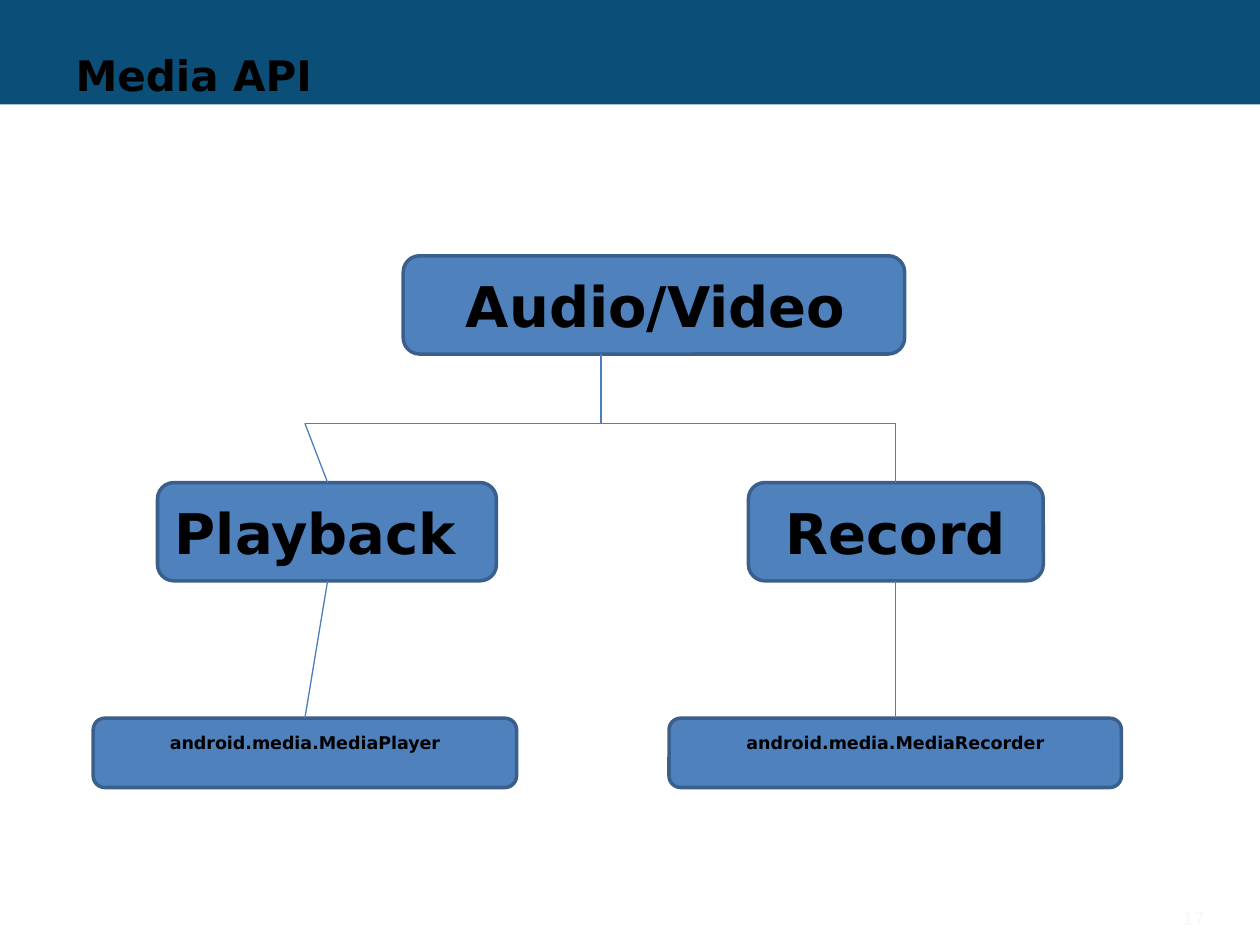
from dataclasses import dataclass

from lxml.etree import SubElement
from pptx import Presentation
from pptx.dml.color import RGBColor
from pptx.enum.shapes import MSO_CONNECTOR, MSO_SHAPE
from pptx.enum.text import MSO_ANCHOR, PP_ALIGN
from pptx.oxml.ns import qn
from pptx.slide import Slide
from pptx.text.text import TextFrame
from pptx.util import Inches, Pt


@dataclass(frozen=True)
class Theme:
    font: str = "DejaVu Sans"
    banner: RGBColor = RGBColor(0x0B, 0x4E, 0x78)
    box: RGBColor = RGBColor(0x4F, 0x81, 0xBD)
    border: RGBColor = RGBColor(0x3A, 0x5F, 0x8C)
    branch: RGBColor = RGBColor(0x4B, 0x7E, 0xBC)
    text: RGBColor = RGBColor(0, 0, 0)
    page: RGBColor = RGBColor(0xF8, 0xF8, 0xF8)
    title_size: int = 24
    topic_size: int = 32
    class_size: int = 10
    page_size: int = 10


@dataclass(frozen=True)
class Node:
    label: str
    left: float
    top: float
    width: float
    height: float
    label_width: float
    label_height: float
    label_drop: float
    size: int


@dataclass(frozen=True)
class Branch:
    x1: float
    y1: float
    x2: float
    y2: float


THEME = Theme()


def topic(label: str, left: float, top: float, width: float, label_width: float) -> Node:
    return Node(label, left, top, width, 0.78, label_width, 0.64, 0.08, THEME.topic_size)


def api_class(label: str, left: float, width: float, label_height: float) -> Node:
    return Node(label, left, 5.7, width, 0.55, width, label_height, 0.06, THEME.class_size)


NODES = [
    topic("Record", 5.94, 3.83, 2.34, 2.34),
    topic("Playback", 1.25, 3.83, 2.69, 2.51),
    topic("Audio/Video", 3.2, 2.03, 3.98, 4.01),
    api_class("android.media.MediaPlayer", 0.74, 3.36, 0.28),
    api_class("android.media.MediaRecorder", 5.31, 3.59, 0.71),
]

# Axes of the tree: trunk, the two columns, and the shared crossbar
TRUNK_X, PLAYER_X, PLAYBACK_X, RECORD_X = 4.77, 2.42, 2.6, 7.11
BAR_Y = 3.36
BRANCHES = [
    Branch(TRUNK_X, 2.81, TRUNK_X, BAR_Y),
    Branch(PLAYER_X, BAR_Y, RECORD_X, BAR_Y),
    Branch(PLAYER_X, BAR_Y, PLAYBACK_X, 3.83),
    Branch(RECORD_X, BAR_Y, RECORD_X, 3.83),
    Branch(PLAYBACK_X, 4.61, PLAYER_X, 5.7),
    Branch(RECORD_X, 4.61, RECORD_X, 5.7),
]


def write(frame: TextFrame, text: str, size: int, align: PP_ALIGN,
          color: RGBColor = THEME.text, bold: bool = True) -> None:
    frame.word_wrap = True
    paragraph = frame.paragraphs[0]
    paragraph.alignment = align
    run = paragraph.add_run()
    run.text = text
    run.font.name = THEME.font
    run.font.size = Pt(size)
    run.font.bold = bold
    run.font.color.rgb = color


def draw_banner(slide: Slide, width: int) -> None:
    banner = slide.shapes.add_shape(MSO_SHAPE.RECTANGLE, 0, 0, width, Inches(0.83))
    banner.shadow.inherit = False
    banner.fill.solid()
    banner.fill.fore_color.rgb = THEME.banner
    banner.line.fill.background()
    # Send the banner behind the title
    slide.shapes._spTree.insert(2, banner._element)


def draw_title(slide: Slide, text: str) -> None:
    title = slide.shapes.title
    title.left, title.top = Inches(0.5), Inches(0.38)
    title.width, title.height = Inches(9), Inches(0.42)
    title.text_frame.vertical_anchor = MSO_ANCHOR.MIDDLE
    write(title.text_frame, text, THEME.title_size, PP_ALIGN.LEFT)


def draw_node(slide: Slide, node: Node) -> None:
    box = slide.shapes.add_shape(
        MSO_SHAPE.ROUNDED_RECTANGLE, Inches(node.left), Inches(node.top),
        Inches(node.width), Inches(node.height))
    box.shadow.inherit = False
    box.fill.solid()
    box.fill.fore_color.rgb = THEME.box
    box.line.color.rgb = THEME.border
    box.line.width = Pt(2)
    label = slide.shapes.add_textbox(
        Inches(node.left), Inches(node.top + node.label_drop),
        Inches(node.label_width), Inches(node.label_height))
    write(label.text_frame, node.label, node.size, PP_ALIGN.CENTER)


def draw_branch(slide: Slide, branch: Branch) -> None:
    line = slide.shapes.add_connector(
        MSO_CONNECTOR.STRAIGHT, Inches(branch.x1), Inches(branch.y1),
        Inches(branch.x2), Inches(branch.y2))
    line.line.color.rgb = THEME.branch
    line.line.width = Pt(0.75)
    SubElement(line._element.spPr, qn("a:effectLst"))


def draw_page_number(slide: Slide, number: str) -> None:
    page = slide.shapes.add_textbox(Inches(8.66), Inches(7.16), Inches(1), Inches(0.27))
    write(page.text_frame, number, THEME.page_size, PP_ALIGN.RIGHT, THEME.page, bold=False)


def main() -> None:
    deck = Presentation()
    deck.slide_width, deck.slide_height = Inches(10), Inches(7.5)
    slide = deck.slides.add_slide(deck.slide_layouts[5])

    # Header
    draw_banner(slide, deck.slide_width)
    draw_title(slide, "Media API")

    # Class tree
    for node in NODES:
        draw_node(slide, node)
    for branch in BRANCHES:
        draw_branch(slide, branch)

    # Footer
    draw_page_number(slide, "17")
    deck.save("out.pptx")


if __name__ == "__main__":
    main()
